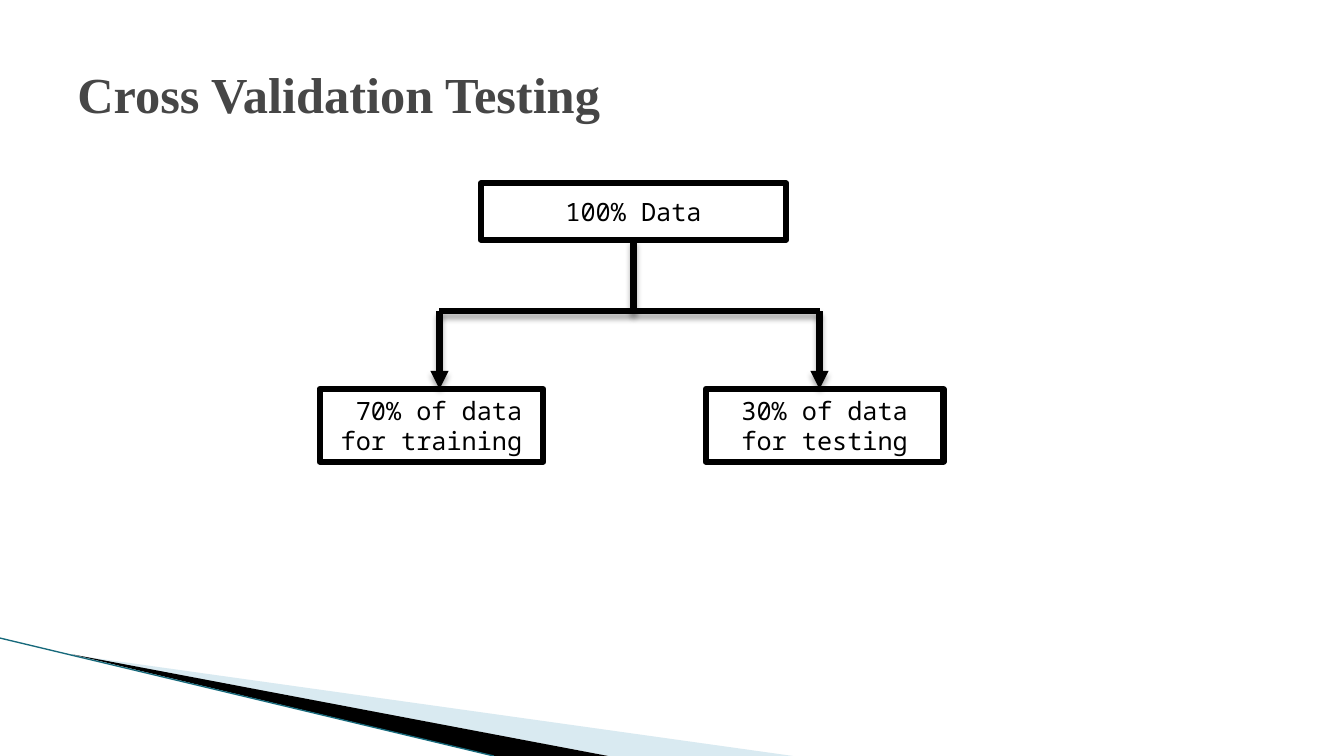
from dataclasses import dataclass

from lxml import etree
from pptx import Presentation, util as u
from pptx.dml.color import RGBColor
from pptx.enum import shapes, text
from pptx.oxml.ns import qn

COLUMNS, ROWS = 80, 45
COLORS = {
    "title": "464646",
    "ink": "000000",
    "paper": "FFFFFF",
    "pale": "A0CBDC",
    "edge": "17697B",
}
HEAVY, THIN = 4.33, 0.95
CHARACTER_WIDTH = 10.8  # points, for the 18 pt monospaced face

deck = Presentation()
deck.slide_width, deck.slide_height = u.Inches(13.33), u.Inches(7.5)


@dataclass
class DataBox:
    """A box of the tree, in grid columns and rows."""
    wording: str
    left: float
    top: float
    width: float
    height: float
    entry: float = 0  # column where the arrow arrives
    indent: float = 0  # first-line indent in points


@dataclass
class Wedge:
    """A filled corner decoration with its corner points on the grid."""
    color: str
    opacity: int
    points: list[tuple[float, float]]


def column(value: float) -> int:
    """Turn grid columns into a length."""
    return round(deck.slide_width * value / COLUMNS)


def row(value: float) -> int:
    """Turn grid rows into a length."""
    return round(deck.slide_height * value / ROWS)


def color(name: str) -> RGBColor:
    """Look up a named colour."""
    return RGBColor.from_string(COLORS[name])


def draw_wedge(page, wedge: Wedge) -> None:
    """Draw one corner wedge."""
    corners = [(column(x), row(y)) for x, y in wedge.points]
    builder = page.shapes.build_freeform(*corners[0], scale=1.0)
    builder.add_line_segments(corners[1:], close=True)
    shape = builder.convert_to_shape()
    shape.shadow.inherit = False
    shape.line.fill.background()
    shape.fill.solid()
    shape.fill.fore_color.rgb = color(wedge.color)
    if wedge.opacity < 100:
        tint = shape.fill._xPr.find(".//" + qn("a:srgbClr"))
        etree.SubElement(tint, qn("a:alpha"), val=str(wedge.opacity * 1000))


def draw_line(page, start: tuple[float, float], end: tuple[float, float],
              name: str = "ink", weight: float = HEAVY,
              arrow: bool = False, shadow: bool = True) -> None:
    """Draw a straight line, with an arrowhead and a soft shadow if asked."""
    line = page.shapes.add_connector(
        shapes.MSO_CONNECTOR.STRAIGHT,
        column(start[0]), row(start[1]), column(end[0]), row(end[1]))
    line.line.color.rgb = color(name)
    line.line.width = u.Pt(weight)
    if arrow:
        etree.SubElement(line.line._get_or_add_ln(), qn("a:tailEnd"), type="triangle")
    effects = etree.SubElement(line._element.spPr, qn("a:effectLst"))
    if shadow:
        outer = etree.SubElement(
            effects, qn("a:outerShdw"), blurRad=str(u.Pt(4)), dist=str(u.Pt(3)),
            dir="5400000", rotWithShape="0")
        tint = etree.SubElement(outer, qn("a:srgbClr"), val=COLORS["ink"])
        etree.SubElement(tint, qn("a:alpha"), val="35000")


def draw_box(page, item: DataBox) -> None:
    """Draw an outlined box with centred wording."""
    box = page.shapes.add_shape(
        shapes.MSO_SHAPE.RECTANGLE, column(item.left), row(item.top),
        column(item.width), row(item.height))
    box.shadow.inherit = False
    box.fill.solid()
    box.fill.fore_color.rgb = color("paper")
    box.line.color.rgb = color("ink")
    box.line.width = u.Pt(HEAVY)
    frame = box.text_frame
    frame.word_wrap = True
    frame.vertical_anchor = text.MSO_ANCHOR.MIDDLE
    para = frame.paragraphs[0]
    para.text = item.wording
    para.alignment = text.PP_ALIGN.CENTER
    para.font.name, para.font.size = "Noto Sans Mono", u.Pt(18)
    para.font.color.rgb = color("ink")
    if item.indent:
        para._p.get_or_add_pPr().set("indent", str(u.Pt(item.indent)))


def set_title(page, wording: str) -> None:
    """Place and format the title."""
    title = page.shapes.title
    title.left, title.top = column(4), row(1.8)
    title.width, title.height = column(72), row(7.5)
    frame = title.text_frame
    frame.word_wrap = True
    frame.vertical_anchor = text.MSO_ANCHOR.MIDDLE
    para = frame.paragraphs[0]
    para.text = wording
    para.alignment = text.PP_ALIGN.LEFT
    para.font.name, para.font.size = "Times New Roman", u.Pt(36)
    para.font.bold = True
    para.font.color.rgb = color("title")


def draw_tree(page, root: DataBox, leaves: list[DataBox], fork: float) -> None:
    """Draw the boxes, the trunk, and a branch and arrow to each leaf."""
    for item in [root, *leaves]:
        draw_box(page, item)
    middle = root.left + root.width / 2
    draw_line(page, (middle, root.top + root.height), (middle, fork))
    for leaf in leaves:
        draw_line(page, (middle, fork), (leaf.entry, fork))
    for leaf in leaves:
        draw_line(page, (leaf.entry, fork), (leaf.entry, leaf.top), arrow=True)


WEDGES = [
    Wedge("pale", 40, [(4.4, 39), (47.2, ROWS), (36.2, ROWS)]),
    Wedge("ink", 100, [(4.3, 38.95), (36.2, ROWS), (29.4, ROWS)]),
]
ROOT = DataBox("100% Data", 28.62, 10.92, 18.18, 3.36)
LEAVES = [
    DataBox("70% of data for training", 19.02, 23.16, 13.32, 4.32,
            entry=26.16, indent=CHARACTER_WIDTH),
    DataBox("30% of data for testing", 42, 23.16, 14.16, 4.32, entry=48.78),
]

page = deck.slides.add_slide(deck.slide_layouts[5])
for wedge in WEDGES:
    draw_wedge(page, wedge)
draw_line(page, (0, 37.98), (29.4, ROWS), "edge", THIN, shadow=False)
set_title(page, "Cross Validation Testing")
draw_tree(page, ROOT, LEAVES, fork=18.54)
deck.save("out.pptx")
